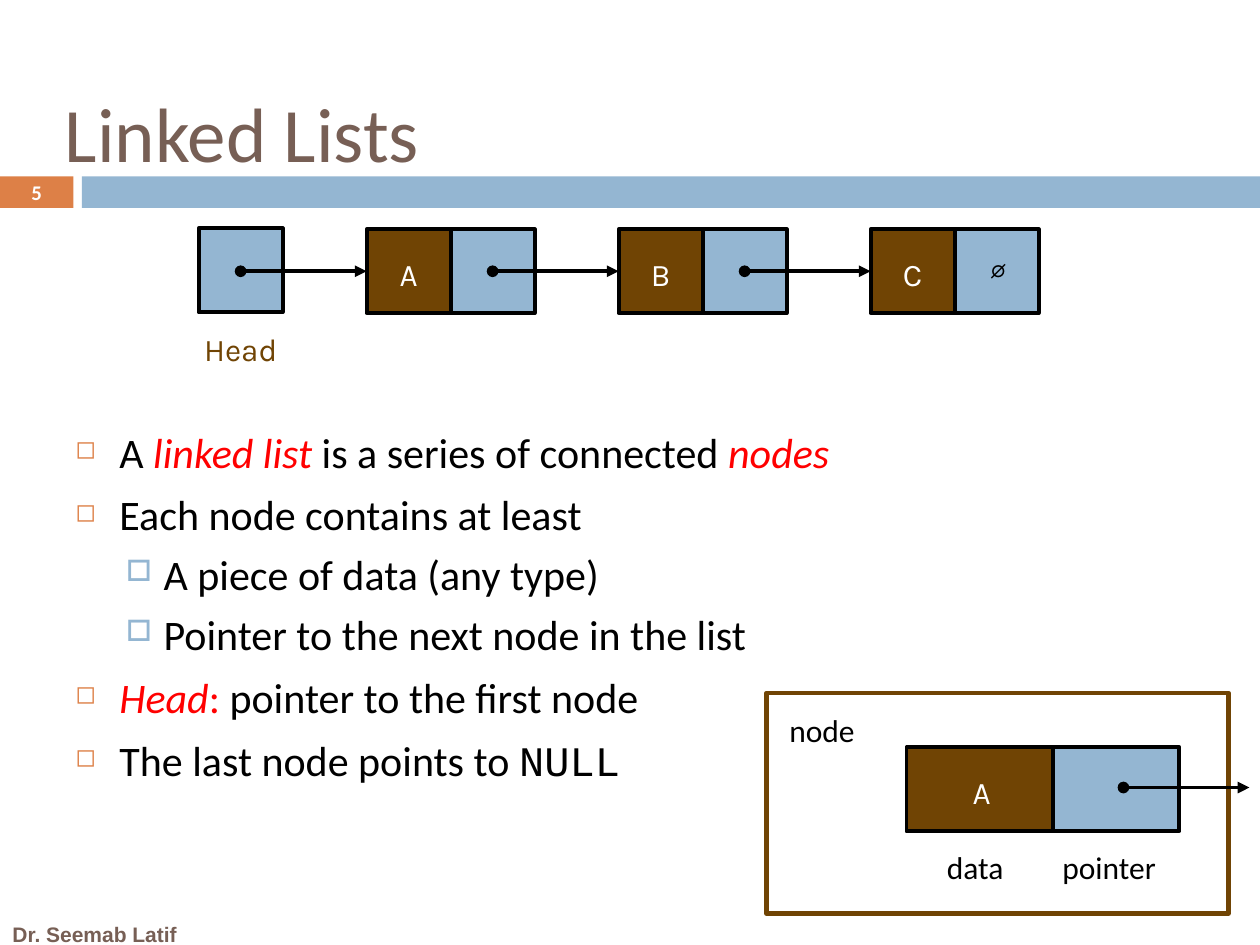
from pptx import Presentation
from pptx.util import Pt
from pptx.dml.color import RGBColor
from pptx.enum.shapes import MSO_SHAPE as Shape, MSO_CONNECTOR as Link
from pptx.enum.text import PP_ALIGN as Align, MSO_ANCHOR as Anchor
from pptx.oxml.ns import qn
from lxml.etree import SubElement as sub

BLACK = RGBColor(0x00, 0x00, 0x00)
WHITE = RGBColor(0xFF, 0xFF, 0xFF)
RED = RGBColor(0xFF, 0x00, 0x00)
BLUE = RGBColor(0x94, 0xB6, 0xD2)
BROWN = RGBColor(0x70, 0x44, 0x04)
ORANGE = RGBColor(0xDD, 0x80, 0x47)
TAUPE = RGBColor(0x77, 0x5F, 0x55)

BARS = [(0, 42, ORANGE), (46.8, 673.2, BLUE)]
NODES = ["A", "B", "C"]
POINTS = [
    (0, [("A ", ""), ("linked list ", "ri"),
         ("is a series of connected ", ""), ("nodes", "ri")]),
    (0, [("Each node contains at least", "")]),
    (1, [("A piece of data (any type)", "")]),
    (1, [("Pointer to the next node in the list", "")]),
    (0, [("Head", "ri"), (": ", "r"), ("pointer to the first node", "")]),
    (0, [("The last node points to ", ""), ("NULL", "m")]),
]
LEVELS = [
    dict(left=25.2, hang=25.2, gap=7, mark="◻", color=ORANGE, size=60),
    dict(left=50.4, hang=21.6, gap=5.5, mark="□", color=BLUE, size=70),
]
NOTES = [("data", 534, 481, 54), ("pointer", 600, 481, 78),
         ("node", 444, 403, 66)]

CELL = 48
PITCH = 3 * CELL
LEFT, TOP = 209.5, 131
REACH = 72

deck = Presentation()
deck.slide_width, deck.slide_height = Pt(720), Pt(540)
slide = deck.slides.add_slide(deck.slide_layouts[6])
shapes = slide.shapes


def box(x, y, w, h, fill=None, line=None, width=2.25):
    shape = shapes.add_shape(Shape.RECTANGLE, Pt(x), Pt(y), Pt(w), Pt(h))
    shape.shadow.inherit = False
    if fill is None:
        shape.fill.background()
    else:
        shape.fill.solid()
        shape.fill.fore_color.rgb = fill
    if line is None:
        shape.line.fill.background()
    else:
        shape.line.color.rgb = line
        shape.line.width = Pt(width)
    return shape


def style(font, face, size, color, bold=False):
    font.name, font.size, font.bold = face, Pt(size), bold
    font.color.rgb = color


def label(text, x, y, w, h, face, size, color, bold=False,
          align=Align.LEFT, anchor=Anchor.TOP, wrap=True):
    frame = shapes.add_textbox(Pt(x), Pt(y), Pt(w), Pt(h)).text_frame
    frame.word_wrap = wrap
    frame.vertical_anchor = anchor
    frame.text = text
    para = frame.paragraphs[0]
    para.alignment = align
    style(para.runs[0].font, face, size, color, bold)


def tag(text, mid, y, color, w=27):
    label(text, mid - w / 2, y, w, 31, "Karla", 18, color,
          align=Align.CENTER, wrap=False)


def arrow(x, y, goal=None):
    line = shapes.add_connector(Link.STRAIGHT, Pt(x), Pt(y),
                                Pt(x + REACH), Pt(y))
    if goal is not None:
        line.end_connect(goal, 1)
    line.line.color.rgb = BLACK
    line.line.width = Pt(2.25)
    ln = line.line._get_or_add_ln()
    sub(ln, qn("a:headEnd"), type="oval")
    sub(ln, qn("a:tailEnd"), type="triangle")
    sub(line._element.spPr, qn("a:effectLst"))


def bullet(para, level):
    props = para._p.get_or_add_pPr()
    props.set("marL", str(Pt(level["left"])))
    props.set("indent", str(-Pt(level["hang"])))
    tint = sub(props, qn("a:buClr"))
    sub(tint, qn("a:srgbClr"), val=str(level["color"]))
    sub(props, qn("a:buSzPct"), val=str(level["size"] * 1000))
    sub(props, qn("a:buChar"), char=level["mark"])


for x, w, fill in BARS:
    box(x, 100.8, w, 18, fill)
label("Dr. Seemab Latif", 0, 522, 132, 23, "Arial", 12, TAUPE, True,
      anchor=Anchor.MIDDLE)
label("Linked Lists", 30, 30, 648, 90, "Calibri", 44, TAUPE,
      anchor=Anchor.MIDDLE)
label("5", 0, 100, 42, 19.5, "Calibri", 11.9, WHITE, True,
      align=Align.CENTER, anchor=Anchor.MIDDLE)

body = shapes.add_textbox(Pt(36), Pt(240), Pt(618), Pt(240)).text_frame
body.word_wrap = True
for i, (depth, parts) in enumerate(POINTS):
    para = body.add_paragraph() if i else body.paragraphs[0]
    para.level = depth
    bullet(para, LEVELS[depth])
    if i:
        para.space_before = Pt(LEVELS[depth]["gap"])
    for text, look in parts:
        run = para.add_run()
        run.text = text
        style(run.font, "Courier New" if "m" in look else "Calibri", 24,
              RED if "r" in look else BLACK)
        run.font.italic = "i" in look

start = LEFT - 2 * CELL
box(start, TOP - 0.5, CELL, CELL, BLUE, BLACK)
tag("Head", start + CELL / 2, 185, BROWN, 60)
mid = start + CELL / 2
for i, name in enumerate(NODES):
    x = LEFT + i * PITCH
    data = box(x, TOP, CELL, CELL, BROWN, BLACK)
    box(x + CELL, TOP, CELL, CELL, BLUE, BLACK)
    tag(name, x + CELL / 2, 142, WHITE)
    arrow(mid, TOP + CELL / 2, data)
    mid = x + CELL * 1.5
tag("∅", mid + 1, 139, BLACK, 31)

box(602, 427, 72, CELL, BLUE, BLACK)
box(518, 427, 84, CELL, BROWN, BLACK)
tag("A", 561, 438, WHITE)
box(438, 396, 264, 126, line=BROWN, width=2.5)
for text, x, y, w in NOTES:
    label(text, x, y, w, 29, "Calibri", 18, BLACK)
arrow(642, 450)

deck.save("out.pptx")
